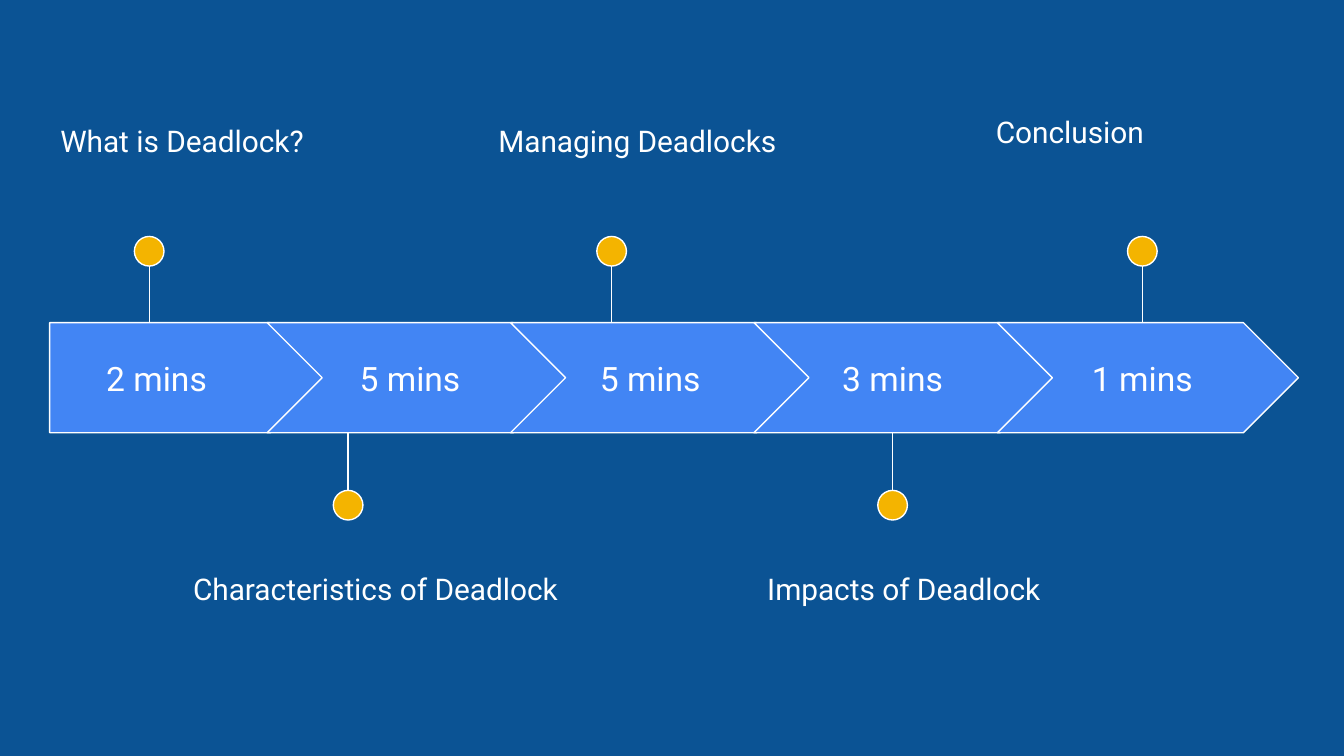
import pptx
import pptx.util
import pptx.dml.color
import pptx.enum.shapes
import pptx.enum.text
import lxml.etree
from pptx.util import Cm, Pt

MSO_SHAPE = pptx.enum.shapes.MSO_SHAPE
ANCHOR = pptx.enum.text.MSO_ANCHOR
ALIGN = pptx.enum.text.PP_ALIGN
NAVY, BLUE, AMBER, WHITE = "0B5394", "4285F4", "F4B400", "FFFFFF"
ARROW_TOP, ARROW_HEIGHT = 6.1, 2.08
FIRST_CHEVRON, STEP = 5.05, 4.6
DOT = 0.56


def rgb(value):
    """Turn a hex string into a colour."""
    return pptx.dml.color.RGBColor.from_string(value)


def add_shape(s, kind, x, y, w, h, fill):
    """Add a filled shape with a thin white outline."""
    sp = s.shapes.add_shape(kind, Cm(x), Cm(y), Cm(w), Cm(h))
    sp.shadow.inherit = False
    sp.fill.solid()
    sp.fill.fore_color.rgb = rgb(fill)
    sp.line.color.rgb = rgb(WHITE)
    sp.line.width = Pt(0.75)
    return sp


def add_text(s, text, x, y, w, h, size, inset=0.25):
    """Add a white text box with the given top inset."""
    tf = s.shapes.add_textbox(Cm(x), Cm(y), Cm(w), Cm(h)).text_frame
    tf.word_wrap = True
    tf.margin_left = tf.margin_right = tf.margin_bottom = Cm(0.25)
    tf.margin_top = Cm(inset)
    p = tf.paragraphs[0]
    r = p.add_run()
    r.text = text
    r.font.name = "Roboto"
    r.font.size = Pt(size)
    r.font.color.rgb = rgb(WHITE)
    return tf


def add_arrow(s, index):
    """Add one arrow of the timeline band."""
    if index == 0:
        kind, x, w = MSO_SHAPE.PENTAGON, 0.94, 5.21
    else:
        kind, x, w = MSO_SHAPE.CHEVRON, FIRST_CHEVRON + (index - 1) * STEP, 5.69
    sp = add_shape(s, kind, x, ARROW_TOP, w, ARROW_HEIGHT, BLUE)
    sp.adjustments[0] = 0.5


def add_duration(s, text, x, w):
    """Add the centred duration on an arrow."""
    tf = add_text(s, text, x, 6.5, w, 1.3, 18)
    tf.vertical_anchor = ANCHOR.MIDDLE
    tf.paragraphs[0].alignment = ALIGN.CENTER


def add_pin(s, x, above):
    """Add a dot joined to the band by a stem."""
    edge = ARROW_TOP if above else ARROW_TOP + ARROW_HEIGHT
    dot_top = 4.47 if above else 9.27
    stem = s.shapes.add_connector(
        pptx.enum.shapes.MSO_CONNECTOR.STRAIGHT,
        Cm(x), Cm(dot_top + DOT / 2), Cm(x), Cm(edge))
    stem.line.color.rgb = rgb(WHITE)
    stem.line.width = Pt(0.75)
    lxml.etree.SubElement(stem._element.spPr, pptx.oxml.ns.qn("a:effectLst"))
    add_shape(s, MSO_SHAPE.OVAL, x - DOT / 2, dot_top, DOT, DOT, AMBER)


def add_label(s, text, x, w, above, inset):
    """Add the topic label above or below the band."""
    tf = add_text(s, text, x, 1.04 if above else 10.44, w, 2.51, 16, inset)
    p = tf.paragraphs[0]
    p.line_spacing = 1.15
    p.space_after = Pt(16)


def main():
    """Build the timeline slide."""
    prs = pptx.Presentation()
    prs.slide_width, prs.slide_height = Cm(25.4), Cm(14.29)
    s = prs.slides.add_slide(prs.slide_layouts[6])
    s.background.fill.solid()
    s.background.fill.fore_color.rgb = rgb(NAVY)

    # duration, its left and width, pin centre, topic, its left, width and inset
    stages = [
        ("2 mins", 0.94, 4.04, 2.82, "What is Deadlock?", 0.89, 6.22, 1.83),
        ("5 mins", 5.92, 3.66, 6.58, "Characteristics of Deadlock", 3.4, 7.87, 0.25),
        ("5 mins", 10.46, 3.66, 11.56, "Managing Deadlocks", 9.17, 6.22, 1.83),
        ("3 mins", 15.04, 3.66, 16.87, "Impacts of Deadlock", 14.25, 6.22, 0.25),
        ("1 mins", 19.76, 3.66, 21.59, "Conclusion", 18.57, 6.22, 1.5),
    ]
    for i, (time, time_x, time_w, pin_x, topic, x, w, inset) in enumerate(stages):
        above = i % 2 == 0
        add_arrow(s, i)
        add_duration(s, time, time_x, time_w)
        add_pin(s, pin_x, above)
        add_label(s, topic, x, w, above, inset)
    prs.save("out.pptx")


if __name__ == "__main__":
    main()
